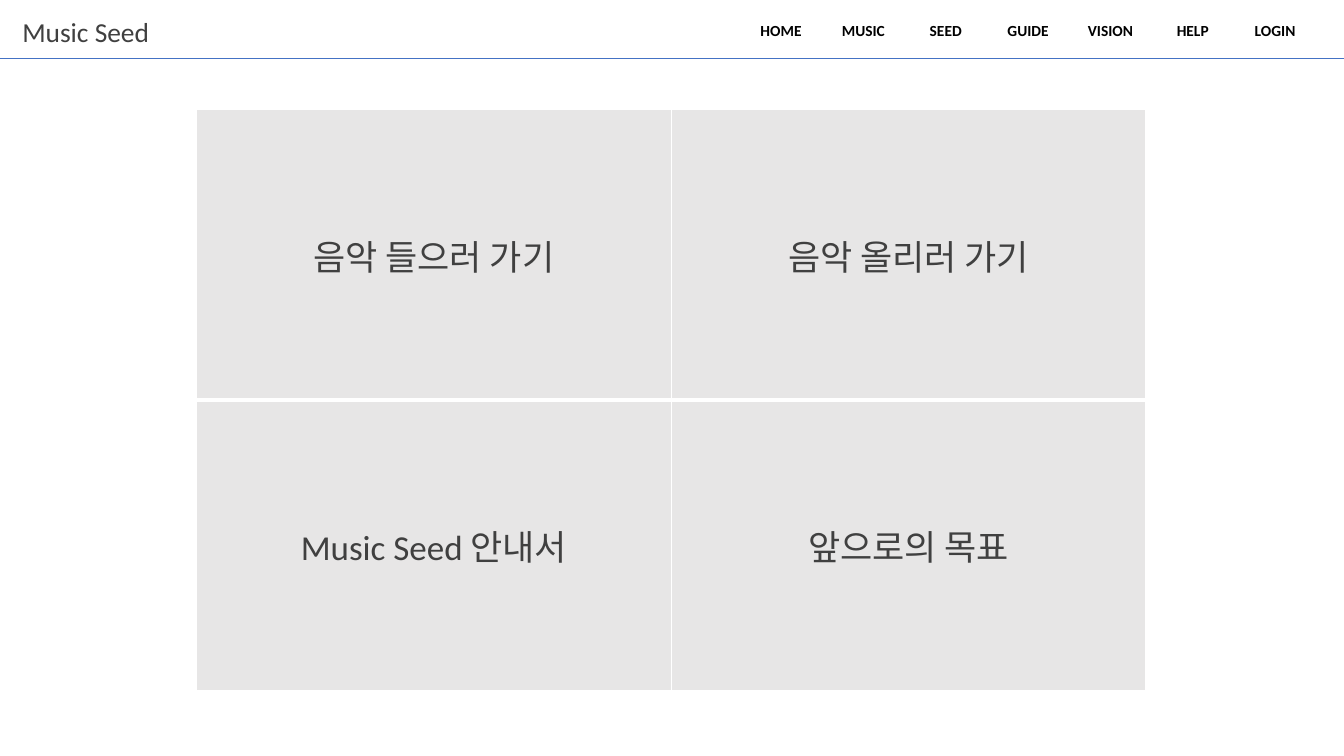
from lxml import etree
from pptx import Presentation
from pptx.dml.color import RGBColor
from pptx.enum import shapes, text
from pptx.oxml import ns
from pptx.util import Pt

WHITE = RGBColor(0xFF, 0xFF, 0xFF)
BLACK = RGBColor(0, 0, 0)
DARK = RGBColor(0x40, 0x40, 0x40)
GREY = RGBColor(0xE7, 0xE6, 0xE6)
BLUE = RGBColor(0x44, 0x72, 0xC4)

WIDTH, HEIGHT = 960, 540
MENU = [["HOME", "MUSIC", "SEED", "GUIDE", "VISION", "HELP", "LOGIN"]]
TILES = [["음악 들으러 가기", "음악 올리러 가기"],
         ["Music Seed 안내서", "앞으로의 목표"]]


def write(tf, content, size, color, bold=False):
    p = tf.paragraphs[0]
    p.alignment = text.PP_ALIGN.CENTER
    r = p.add_run()
    r.text = content
    r.font.name = "Calibri"
    r.font.size = Pt(size)
    r.font.bold = bold
    r.font.color.rgb = color


def set_borders(cell, bottom):
    tcPr = cell._tc.get_or_add_tcPr()
    for side, width in (("L", 1), ("R", 1), ("T", 1), ("B", bottom)):
        ln = etree.SubElement(tcPr, ns.qn(f"a:ln{side}"), w=str(Pt(width)))
        fill = etree.SubElement(ln, ns.qn("a:solidFill"))
        etree.SubElement(fill, ns.qn("a:srgbClr"), val=str(WHITE))


def add_grid(s, box, rows, fill, inset, **font):
    x, y, w, h = box
    table = s.shapes.add_table(len(rows), len(rows[0]),
                               Pt(x), Pt(y), Pt(w), Pt(h)).table
    table.first_row = table.horz_banding = False
    for col in table.columns:
        col.width = Pt(w / len(rows[0]))
    for i, row in enumerate(rows):
        table.rows[i].height = Pt(h / len(rows))
        for j, content in enumerate(row):
            cell = table.cell(i, j)
            cell.margin_left = cell.margin_right = Pt(inset[0])
            cell.margin_top = cell.margin_bottom = Pt(inset[1])
            cell.vertical_anchor = text.MSO_ANCHOR.MIDDLE
            set_borders(cell, 3 if i == 0 else 1)
            cell.fill.solid()
            cell.fill.fore_color.rgb = fill
            write(cell.text_frame, content, **font)


def add_header(s, box):
    x, y, w, h = box
    add_grid(s, (x + 528.5, y + 9.4, 411.8, 25.9), MENU, WHITE, (7, 6),
             size=11, color=BLACK, bold=True)

    sp = s.shapes.add_textbox(Pt(x), Pt(y + 3.6), Pt(122.4), Pt(37.4))
    tf = sp.text_frame
    tf.word_wrap = True
    tf.vertical_anchor = text.MSO_ANCHOR.MIDDLE
    tf.margin_left = tf.margin_right = Pt(13)
    tf.margin_top = tf.margin_bottom = Pt(6.5)
    write(tf, "Music Seed", 19.6, DARK)

    rule = s.shapes.add_connector(shapes.MSO_CONNECTOR.STRAIGHT,
                                  Pt(x), Pt(y + h), Pt(x + w), Pt(y + h))
    rule.line.color.rgb = BLUE
    rule.line.width = Pt(0.5)
    etree.SubElement(rule._element.spPr, ns.qn("a:effectLst"))


def main():
    prs = Presentation()
    prs.slide_width, prs.slide_height = Pt(WIDTH), Pt(HEIGHT)
    s = prs.slides.add_slide(prs.slide_layouts[6])
    add_header(s, (0, 0, WIDTH, 41.8))
    add_grid(s, (140.4, 78.5, 678.2, 414.7), TILES, GREY, (13, 6.5),
             size=25, color=DARK)
    prs.save("out.pptx")


if __name__ == "__main__":
    main()
